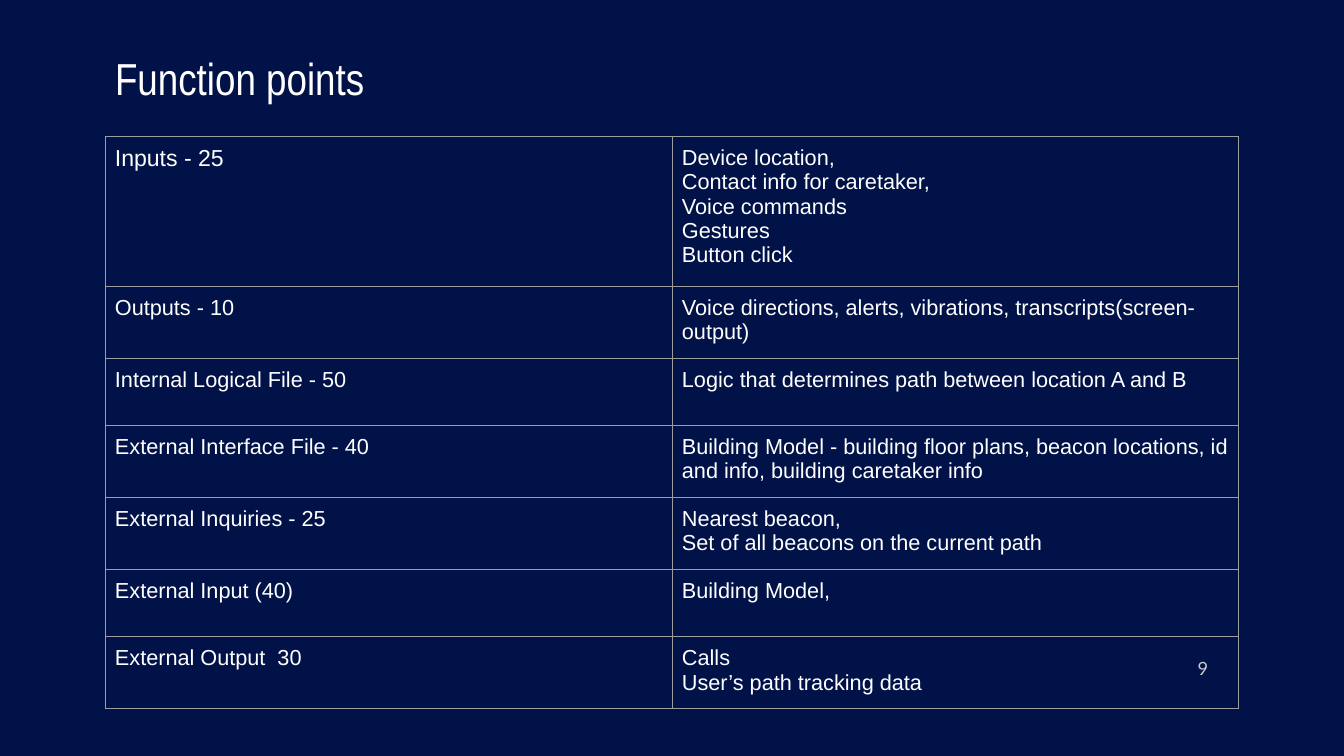
from lxml import etree
from pptx import Presentation
from pptx.dml.color import RGBColor
from pptx.enum.text import MSO_ANCHOR, PP_ALIGN
from pptx.oxml.ns import qn
from pptx.util import Emu, Pt

EMU_PER_PX = 914400 / 100.8
LEFT, RIGHT = PP_ALIGN.LEFT, PP_ALIGN.RIGHT
MIDDLE = MSO_ANCHOR.MIDDLE
TITLE_ONLY = 5
COLOURS = {"background": "001247", "text": "FFFFFF", "number": "CACACA", "border": "9E9E9E"}
ROW_HEIGHT, COLUMN_WIDTH, CELL_MARGIN = 67, 567, 10
BODY_SIZE, FIRST_SIZE = 15.5, 16.5
FUNCTION_POINTS = [
    ("Inputs - 25", "Device location,\nContact info for caretaker,\nVoice commands\nGestures\nButton click"),
    ("Outputs - 10", "Voice directions, alerts, vibrations, transcripts(screen-output)"),
    ("Internal Logical File - 50", "Logic that determines path between location A and B"),
    ("External Interface File - 40",
     "Building Model - building floor plans, beacon locations, id and info, building caretaker info"),
    ("External Inquiries - 25", "Nearest beacon,\nSet of all beacons on the current path"),
    ("External Input (40)", "Building Model,"),
    ("External Output  30", "Calls\nUser’s path tracking data"),
]


def px(length):
    """Turn pixels into EMU."""
    return Emu(round(length * EMU_PER_PX))


def colour(name):
    """Look up a named colour."""
    return RGBColor.from_string(COLOURS[name])


def write_text(text_frame, text, font_name, size, colour_name, alignment=LEFT):
    """Fill a text frame and format its paragraphs."""
    text_frame.text = text
    text_frame.word_wrap = True
    for paragraph in text_frame.paragraphs:
        paragraph.alignment = alignment
        paragraph.font.name = font_name
        paragraph.font.size = Pt(size)
        paragraph.font.color.rgb = colour(colour_name)


def place_title(slide, text):
    """Move and format the title placeholder."""
    title = slide.shapes.title
    title.left, title.top, title.width, title.height = px(105), px(45), px(1092), px(71)
    write_text(title.text_frame, text, "Arial Narrow", 32, "text")
    title.text_frame.vertical_anchor = MIDDLE
    title.text_frame.paragraphs[0].line_spacing = 0.9


def add_page_number(slide, text):
    """Add the page number at the lower right."""
    box = slide.shapes.add_textbox(px(1133), px(648), px(85), px(40))
    write_text(box.text_frame, text, "Lato", 13, "number", RIGHT)
    box.text_frame.vertical_anchor = MIDDLE


def add_borders(cell):
    """Draw a thin line on all four sides of a cell."""
    properties = cell._tc.get_or_add_tcPr()
    for position, side in enumerate(("lnL", "lnR", "lnT", "lnB")):
        line = etree.Element(qn(f"a:{side}"), w=str(Pt(0.75)))
        fill = etree.SubElement(line, qn("a:solidFill"))
        etree.SubElement(fill, qn("a:srgbClr"), val=COLOURS["border"])
        properties.insert(position, line)


def format_cell(cell, text, size):
    """Write a clear cell with equal margins and borders."""
    margin = px(CELL_MARGIN)
    cell.margin_left = cell.margin_right = cell.margin_top = cell.margin_bottom = margin
    cell.fill.background()
    write_text(cell.text_frame, text, "Arial", size, "text")
    add_borders(cell)


def add_points_table(slide, rows):
    """Add the table of function points."""
    frame = slide.shapes.add_table(
        len(rows), 2, px(105), px(136), px(2 * COLUMN_WIDTH), px(len(rows) * ROW_HEIGHT))
    table = frame.table
    table.first_row = table.horz_banding = False
    for row_index, row in enumerate(rows):
        for column_index, text in enumerate(row):
            is_first = row_index == column_index == 0
            format_cell(table.cell(row_index, column_index), text, FIRST_SIZE if is_first else BODY_SIZE)


def main():
    """Build and save the slide."""
    presentation = Presentation()
    presentation.slide_width, presentation.slide_height = px(1344), px(756)
    slide = presentation.slides.add_slide(presentation.slide_layouts[TITLE_ONLY])
    slide.background.fill.solid()
    slide.background.fill.fore_color.rgb = colour("background")
    place_title(slide, "Function points")
    add_page_number(slide, "9")
    add_points_table(slide, FUNCTION_POINTS)
    presentation.save("out.pptx")


if __name__ == "__main__":
    main()
